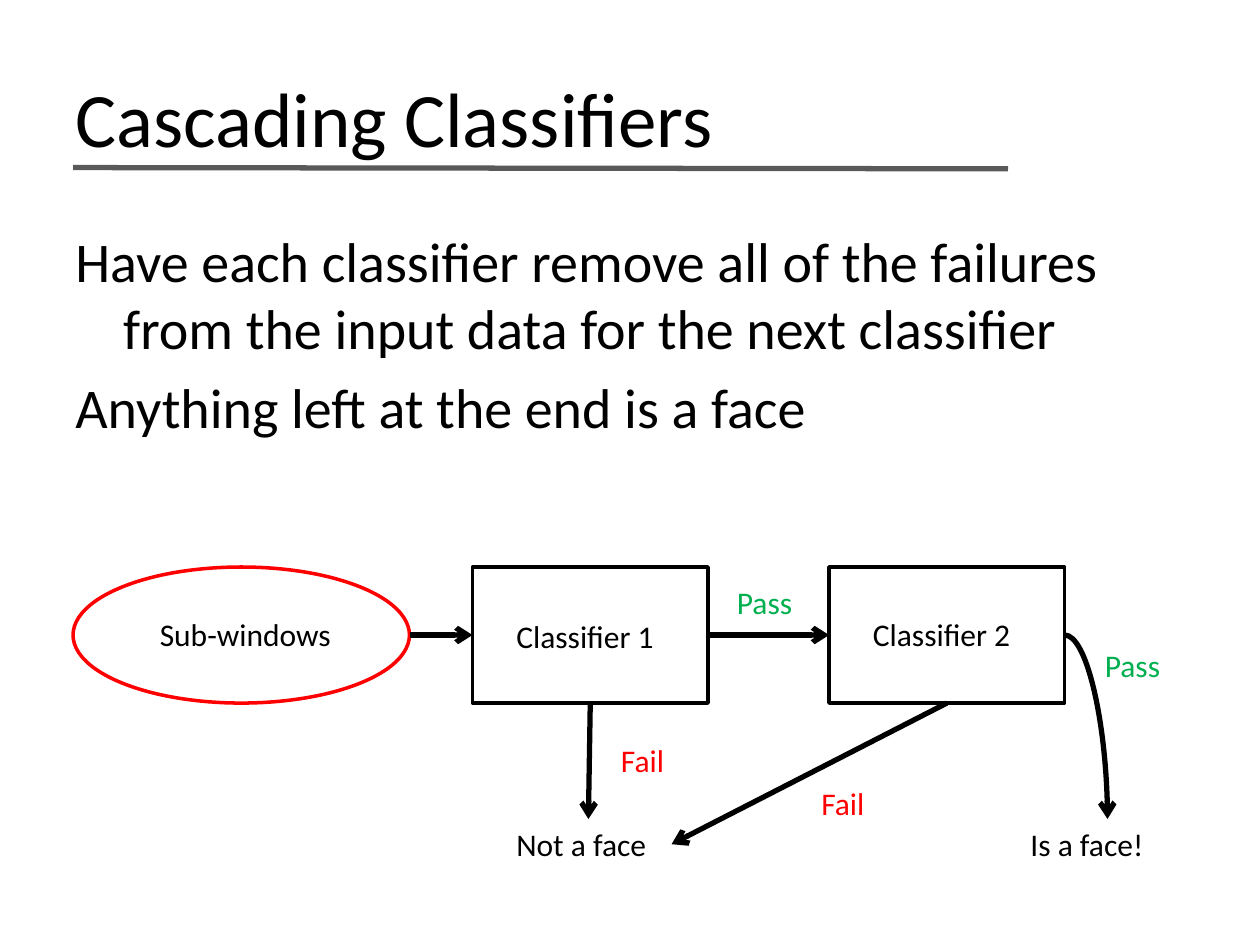
"""Build the Cascading Classifiers slide."""
from dataclasses import dataclass
from lxml.etree import SubElement as Sub
from pptx import Presentation
from pptx.dml.color import RGBColor as Rgb
from pptx.enum.shapes import MSO_CONNECTOR as Con, MSO_SHAPE as Geo
from pptx.enum.text import MSO_ANCHOR as Anchor
from pptx.oxml.ns import qn
from pptx.util import Inches, Pt


@dataclass(frozen=True)
class Theme:
    font: str = "Calibri"
    black: str = "000000"
    white: str = "FFFFFF"
    gray: str = "595959"
    red: str = "FF0000"
    green: str = "00B050"
    title: float = 44
    body: float = 32
    label: float = 18
    gap: float = 6.4
    edge: float = 2
    rule: float = 3


T = Theme()
TITLE = "Cascading Classifiers"
BODY = [
    "Have each classifier remove all of the failures from the input data for the next classifier",
    "Anything left at the end is a face",
]
TOP, HIGH, HANG = 4.5, 1.08, 0.38
MID, BASE, END = TOP + HIGH / 2, TOP + HIGH, 6.5
NODES = [
    (Geo.OVAL, 0.58, 2.67, T.red),
    (Geo.RECTANGLE, 3.75, 1.87, T.black),
    (Geo.RECTANGLE, 6.58, 1.87, T.black),
]
LABELS = [
    ("Sub-windows", 1.17, 4.83, 1.83, T.black),
    ("Classifier 1", 4, 4.85, 1.5, T.black),
    ("Classifier 2", 6.83, 4.83, 1.5, T.black),
    ("Not a face", 4, END, 1.33, T.black),
    ("Is a face!", 8.08, END, 1.42, T.black),
    ("Fail", 4.83, 5.83, 0.58, T.red),
    ("Fail", 6.42, 6.17, 0.58, T.red),
    ("Pass", 5.75, 4.58, 0.75, T.green),
    ("Pass", 8.67, 5.08, 0.75, T.green),
]

deck = Presentation()
deck.slide_width, deck.slide_height = Inches(10), Inches(7.5)
slide = deck.slides.add_slide(deck.slide_layouts[6])
shapes = slide.shapes


def write(lines, box, size, color=T.black, anchor=Anchor.TOP):
    frame = shapes.add_textbox(*map(Inches, box)).text_frame
    frame.word_wrap = True
    frame.vertical_anchor = anchor
    frame.text = "\n".join(lines)
    for para in frame.paragraphs:
        font = para.runs[0].font
        font.name, font.size = T.font, Pt(size)
        font.color.rgb = Rgb.from_string(color)
    return frame


def link(start, end, color=T.black, kind=Con.STRAIGHT, arrow=True):
    line = shapes.add_connector(kind, *map(Inches, start + end))
    line.line.width = Pt(T.rule)
    line.line.color.rgb = Rgb.from_string(color)
    props = line._element.spPr
    if arrow:
        Sub(props.find(qn("a:ln")), qn("a:tailEnd"), type="arrow")
    Sub(props, qn("a:effectLst"))
    return line


link((0.58, 1.33), (8, 1.34), T.gray, arrow=False)
write([TITLE], (0.5, 0.3, 9, 1.25), T.title, anchor=Anchor.MIDDLE)
for para in write(BODY, (0.5, 1.75, 9, 4.95), T.body).paragraphs:
    para.space_before = Pt(T.gap)
    props = para._p.get_or_add_pPr()
    props.set("marL", str(Inches(HANG)))
    props.set("indent", str(-Inches(HANG)))

for geo, left, wide, color in NODES:
    node = shapes.add_shape(geo, *map(Inches, (left, TOP, wide, HIGH)))
    node.shadow.inherit = False
    node.fill.solid()
    node.fill.fore_color.rgb = Rgb.from_string(T.white)
    node.line.color.rgb = Rgb.from_string(color)
    node.line.width = Pt(T.edge)

for text, left, top, wide, color in LABELS:
    write([text], (left, top, wide, 0.4), T.label, color)

for (_, left, wide, _), (_, near, _, _) in zip(NODES, NODES[1:]):
    link((left + wide, MID), (near, MID))
for (_, left, wide, _), goal in zip(NODES[1:], [(4.67, END), (5.33, 6.7)]):
    link((left + wide / 2, BASE), goal)

_, left, wide, _ = NODES[-1]
curve = link((left + wide, MID), (8.79, END), kind=Con.CURVE)
curve._element.spPr.find(qn("a:prstGeom")).set("prst", "curvedConnector2")

deck.save("out.pptx")
